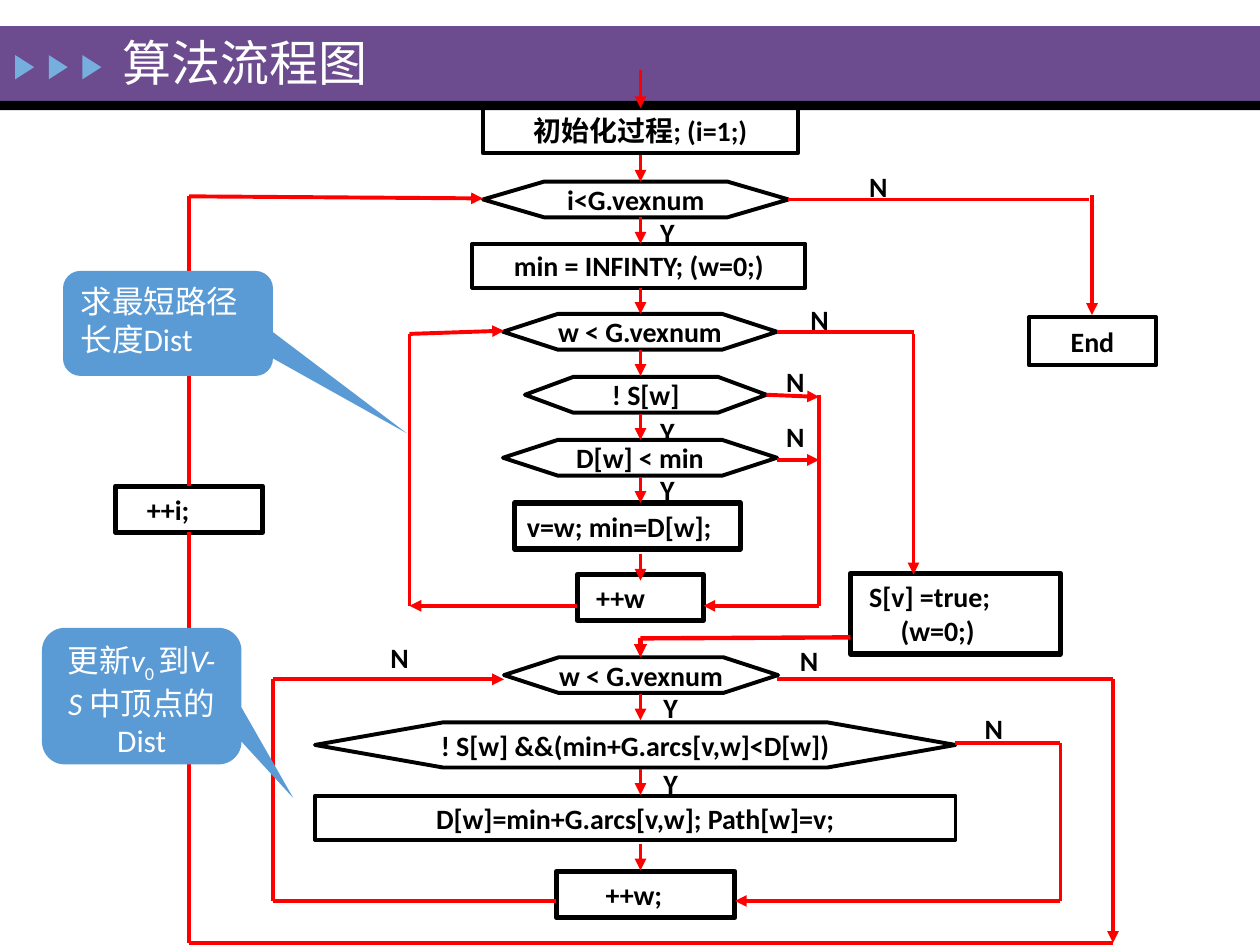
from typing import NamedTuple

from lxml.etree import SubElement
from pptx import Presentation
from pptx.dml.color import RGBColor
from pptx.enum.shapes import MSO_CONNECTOR as Connector, MSO_SHAPE as Shape
from pptx.enum.text import MSO_ANCHOR as Anchor, PP_ALIGN as Align
from pptx.oxml.ns import qn
from pptx.util import Emu, Inches, Pt

COLUMNS, ROWS = 120, 90
RED, BLACK, WHITE = "FF0000", "000000", "FFFFFF"
PURPLE, SKY, BLUE = "6C4C8F", "76AEDD", "5B9BD5"
SPINE = 61

deck = Presentation()
deck.slide_width, deck.slide_height = Inches(10), Inches(7.5)
page = deck.slides.add_slide(deck.slide_layouts[5])


class Step(NamedTuple):
    kind: Shape
    area: tuple[float, float, float, float]
    text: str


class Action(NamedTuple):
    area: tuple[float, float, float, float]
    lines: tuple[tuple[str, float], ...]


class Path(NamedTuple):
    points: tuple[tuple[float, float], ...]
    arrow: bool = True
    weight: float = 2.25


class Callout(NamedTuple):
    area: tuple[float, float, float, float]
    tip: tuple[float, float]
    align: Align
    runs: tuple[tuple[str, bool, int], ...]


def colour(value: str) -> RGBColor:
    return RGBColor.from_string(value)


def across(columns: float) -> Emu:
    return Emu(round(deck.slide_width * columns / COLUMNS))


def down(rows: float) -> Emu:
    return Emu(round(deck.slide_height * rows / ROWS))


def place(area: tuple) -> tuple:
    left, top, width, height = area
    return across(left), down(top), across(width), down(height)


def style(span, size: float, value: str, bold: bool = False) -> None:
    span.font.name, span.font.size, span.font.bold = "Calibri", Pt(size), bold
    span.font.color.rgb = colour(value)


def add_box(kind: Shape, area: tuple, fill: str = "", weight: float = 0):
    box = page.shapes.add_shape(kind, *place(area))
    box.shadow.inherit = False
    if fill:
        box.fill.solid()
        box.fill.fore_color.rgb = colour(fill)
    else:
        box.fill.background()
    if weight:
        box.line.color.rgb = colour(BLACK)
        box.line.width = Pt(weight)
    else:
        box.line.fill.background()
    return box


def add_step(step: Step) -> None:
    box = add_box(step.kind, step.area, weight=2.25)
    frame = box.text_frame
    frame.text = step.text
    frame.word_wrap = False
    frame.vertical_anchor = Anchor.MIDDLE
    frame.paragraphs[0].alignment = Align.CENTER
    style(frame.paragraphs[0].runs[0], 16, BLACK, True)


def add_action(action: Action) -> None:
    frame = add_box(Shape.RECTANGLE, action.area, weight=3).text_frame
    frame.text = "\n".join(text for text, _ in action.lines)
    frame.word_wrap = True
    frame.vertical_anchor = Anchor.TOP
    for para, (_, indent) in zip(frame.paragraphs, action.lines):
        para.alignment = Align.LEFT
        para._p.get_or_add_pPr().set("marL", str(across(indent)))
        style(para.runs[0], 16, BLACK, True)


def add_path(route: Path) -> None:
    legs = list(zip(route.points, route.points[1:]))
    for index, ((x1, y1), (x2, y2)) in enumerate(legs, 1):
        line = page.shapes.add_connector(
            Connector.STRAIGHT, across(x1), down(y1), across(x2), down(y2))
        line.line.color.rgb = colour(RED)
        line.line.width = Pt(route.weight)
        if route.arrow and index == len(legs):
            SubElement(line.line._get_or_add_ln(), qn("a:tailEnd"), type="triangle")
        SubElement(line.element.spPr, qn("a:effectLst"))


def add_label(text: str, left: float, top: float) -> None:
    frame = page.shapes.add_textbox(*place((left, top, 4.3, 4.4))).text_frame
    frame.text = text
    frame.word_wrap = False
    style(frame.paragraphs[0].runs[0], 16, BLACK, True)


def add_callout(callout: Callout) -> None:
    box = add_box(Shape.ROUNDED_RECTANGULAR_CALLOUT, callout.area, BLUE)
    box.adjustments[0], box.adjustments[1] = callout.tip
    frame = box.text_frame
    frame.word_wrap = True
    frame.vertical_anchor = Anchor.TOP
    para = frame.paragraphs[0]
    para.alignment = callout.align
    for text, italic, baseline in callout.runs:
        span = para.add_run()
        span.text = text
        style(span, 18, WHITE)
        span.font.italic = italic
        if baseline:
            span.font._element.set("baseline", str(baseline * 1000))


def add_title(text: str) -> None:
    title = page.shapes.title
    title.left, title.top, title.width, title.height = place((10.5, 2.5, 29.5, 6.7))
    title.element.getparent().append(title.element)
    frame = title.text_frame
    frame.text = text
    frame.vertical_anchor = Anchor.MIDDLE
    frame.paragraphs[0].alignment = Align.LEFT
    style(frame.paragraphs[0].runs[0], 28, WHITE)


TEST, PROCESS = Shape.FLOWCHART_PREPARATION, Shape.FLOWCHART_PROCESS
STEPS = [
    Step(PROCESS, (46, 10.3, 30, 4.3), "初始化过程; (i=1;)"),
    Step(TEST, (46, 17.3, 29.1, 3.4), "i<G.vexnum"),
    Step(PROCESS, (45, 23.2, 31.7, 4.2), "min = INFINTY; (w=0;)"),
    Step(TEST, (47.9, 29.9, 26.1, 3.4), "w < G.vexnum"),
    Step(TEST, (50, 35.9, 23, 3.4), "! S[w]"),
    Step(TEST, (47.9, 41.9, 26.1, 3.4), "D[w] < min"),
    Step(TEST, (48, 62.6, 26.1, 3.4), "w < G.vexnum"),
    Step(TEST, (30, 68.8, 61, 4.3), "! S[w] &&(min+G.arcs[v,w]<D[w])"),
    Step(PROCESS, (30, 75.8, 61, 4.2), "D[w]=min+G.arcs[v,w]; Path[w]=v;"),
    Step(PROCESS, (98, 30.2, 12.1, 4.6), "End"),
]
ACTIONS = [
    Action((49, 47.9, 21.5, 4.4), (("v=w; min=D[w];", 0),)),
    Action((55, 54.7, 12, 4.4), (("++w", 0.6),)),
    Action((53, 83, 17, 4.4), (("++w;", 3.5),)),
    Action((11, 46.3, 14, 4.4), (("++i;", 1.8),)),
    Action((81, 54.6, 20, 7.7), (("S[v] =true;", 0.6), ("(w=0;)", 3.6))),
]
SPINE_STARTS = [14.8, 20.7, 27.4, 33.3, 39.4, 45.4, 52.8, 66.1, 73.2, 80.4]
PATHS = [Path(((SPINE, top), (SPINE, top + 2.5))) for top in SPINE_STARTS] + [
    Path(((SPINE, 6.7), (SPINE, 10.3))),
    Path(((75, 19), (103.7, 19)), False),
    Path(((104, 18.6), (104, 30))),
    Path(((74, 31.6), (87, 31.6)), False),
    Path(((87, 31.8), (87, 54.7))),
    Path(((73, 37.6), (78, 37.8))),
    Path(((74, 43.8), (78, 43.8))),
    Path(((78, 37.6), (78, 57.7), (67, 57.7))),
    Path(((55, 57.7), (39, 57.7))),
    Path(((39, 57.7), (39, 31.8), (48, 31.5))),
    Path(((81, 60.7), (SPINE, 60.8), (SPINE, 62.6)), weight=2.5),
    Path(((91, 70.8), (101, 70.8), (101, 85.8), (70, 85.8))),
    Path(((53, 85.8), (26, 85.8), (26, 64.7), (48, 64.7))),
    Path(((74, 64.7), (106, 64.7), (106, 89.8))),
    Path(((106, 89.8), (18, 89.8), (18, 50.7)), False),
    Path(((18, 46.3), (18, 18.7), (46, 18.9))),
]
LABELS = {
    "N": [(81.6, 15.6), (76, 28.2), (73.7, 34.1), (73.7, 39.4),
          (36, 60.4), (75, 60.7), (92.6, 67.2)],
    "Y": [(61.7, 19.9), (61.7, 38.9), (61.7, 44.4), (62, 65.2), (62, 72.4)],
}
CALLOUTS = [
    Callout((4, 59.8, 19, 13), (0.76, 0.747), Align.CENTER, (
        ("更新", False, 0), ("v", True, 0), ("0 ", False, -25), ("到", False, 0),
        ("V- S ", True, 0), ("中顶点的Dist", False, 0))),
    Callout((6, 25.8, 20, 10), (1.137, 1.046), Align.LEFT,
            (("求最短路径长度Dist", False, 0),)),
]

add_box(Shape.RECTANGLE, (0, 2.5, COLUMNS, 7.1), PURPLE)
add_box(Shape.RECTANGLE, (0, 9.6, COLUMNS, 0.9), BLACK)
for position in range(3):
    marker = add_box(Shape.ISOSCELES_TRIANGLE, (1.2 + 3.2 * position, 5.5, 2.3, 1.8), SKY)
    marker.rotation = 90
for step in STEPS:
    add_step(step)
for action in ACTIONS:
    add_action(action)
for route in PATHS:
    add_path(route)
for text, corners in LABELS.items():
    for left, top in corners:
        add_label(text, left, top)
for callout in CALLOUTS:
    add_callout(callout)
add_title("算法流程图")
deck.save("out.pptx")
